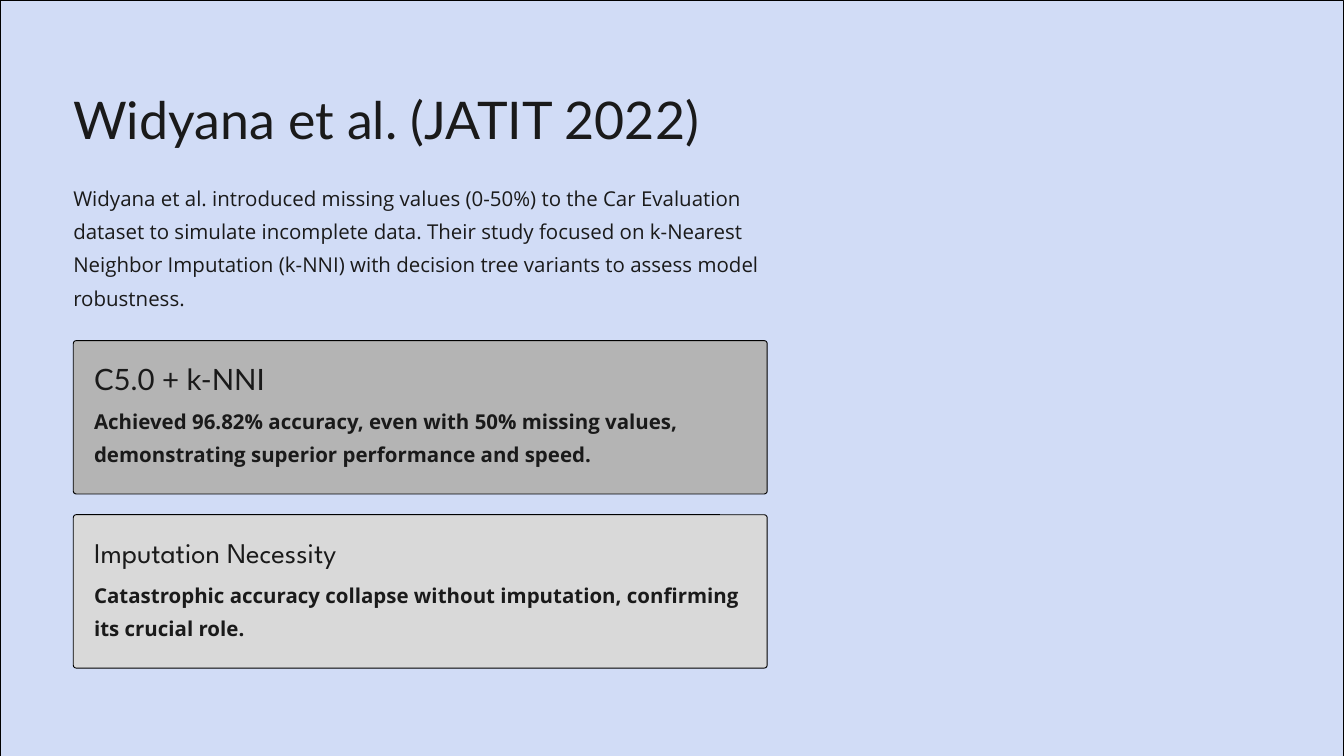
from pptx import Presentation
from pptx.dml.color import RGBColor
from pptx.enum.shapes import MSO_SHAPE
from pptx.enum.text import MSO_ANCHOR, MSO_AUTO_SIZE, PP_ALIGN
from pptx.util import Pt

PALE_BLUE = RGBColor(0xD1, 0xDC, 0xF6)
MID_GREY = RGBColor(0xB4, 0xB4, 0xB4)
LIGHT_GREY = RGBColor(0xD9, 0xD9, 0xD9)
INK = RGBColor(0x1A, 0x1A, 0x1A)
BLACK = RGBColor(0, 0, 0)

SLIDE_W, SLIDE_H = 1440, 810
LEFT, COLUMN_W = 78.5, 743.5
CARD_TOP, CARD_H, CARD_PITCH = 365, 164.3, 186.5
CARD_RADIUS, CARD_PAD = 3.2, 22.3


def write(frame, text, font_name, size, spacing, bold=False):
    frame.margin_left = frame.margin_right = 0
    frame.margin_top = frame.margin_bottom = 0
    frame.word_wrap = True
    frame.auto_size = MSO_AUTO_SIZE.NONE
    frame.vertical_anchor = MSO_ANCHOR.TOP
    frame.text = text
    paragraph = frame.paragraphs[0]
    paragraph.alignment = PP_ALIGN.LEFT
    paragraph.line_spacing = Pt(spacing)
    paragraph.space_before = Pt(0)
    paragraph.font.name = font_name
    paragraph.font.size = Pt(size)
    paragraph.font.bold = bold
    paragraph.font.color.rgb = INK


def add_text(left, top, width, height, *style, bold=False):
    box = slide.shapes.add_textbox(Pt(left), Pt(top), Pt(width), Pt(height))
    write(box.text_frame, *style, bold=bold)


prs = Presentation()
prs.slide_width, prs.slide_height = Pt(SLIDE_W), Pt(SLIDE_H)
slide = prs.slides.add_slide(prs.slide_layouts[5])

# Background and thin border
slide.background.fill.solid()
slide.background.fill.fore_color.rgb = PALE_BLUE
border = slide.shapes.add_shape(MSO_SHAPE.RECTANGLE, 0, 0, Pt(SLIDE_W), Pt(SLIDE_H))
border.shadow.inherit = False
border.fill.background()
border.line.color.rgb = BLACK
border.line.width = Pt(1)

# Title
title = slide.shapes.title
title.left, title.top, title.width, title.height = Pt(LEFT), Pt(90.7), Pt(840), Pt(69)
write(title.text_frame, "Widyana et al. (JATIT 2022)", "Lato", 55.6, 69.4)

# Introduction
add_text(
    LEFT, 190, COLUMN_W, 138,
    "Widyana et al. introduced missing values (0-50%) to the Car Evaluation dataset "
    "to simulate incomplete data. Their study focused on k-Nearest Neighbor Imputation "
    "(k-NNI) with decision tree variants to assess model robustness.",
    "Open Sans", 21.9, 35.6,
)

# Finding cards
findings = [
    (MID_GREY, "C5.0 + k-NNI", "Lato", 31.5, 39.4,
     "Achieved 96.82% accuracy, even with 50% missing values, "
     "demonstrating superior performance and speed."),
    (LIGHT_GREY, "Imputation Necessity", "League Spartan", 30.5, 38.1,
     "Catastrophic accuracy collapse without imputation, confirming its crucial role."),
]
for index, (color, heading, heading_font, size, spacing, finding) in enumerate(findings):
    top = CARD_TOP + index * CARD_PITCH
    card = slide.shapes.add_shape(
        MSO_SHAPE.ROUNDED_RECTANGLE, Pt(LEFT), Pt(top), Pt(COLUMN_W), Pt(CARD_H))
    card.adjustments[0] = CARD_RADIUS / CARD_H
    card.shadow.inherit = False
    card.fill.solid()
    card.fill.fore_color.rgb = color
    card.line.color.rgb = BLACK
    card.line.width = Pt(1)

    text_left, text_w = LEFT + CARD_PAD, COLUMN_W - 2 * CARD_PAD
    add_text(text_left, top + 20.5, 330, 39.5, heading, heading_font, size, spacing)
    add_text(text_left, top + 64.1, text_w, 68, finding, "Open Sans", 21.9, 35.6, bold=True)

prs.save("out.pptx")
